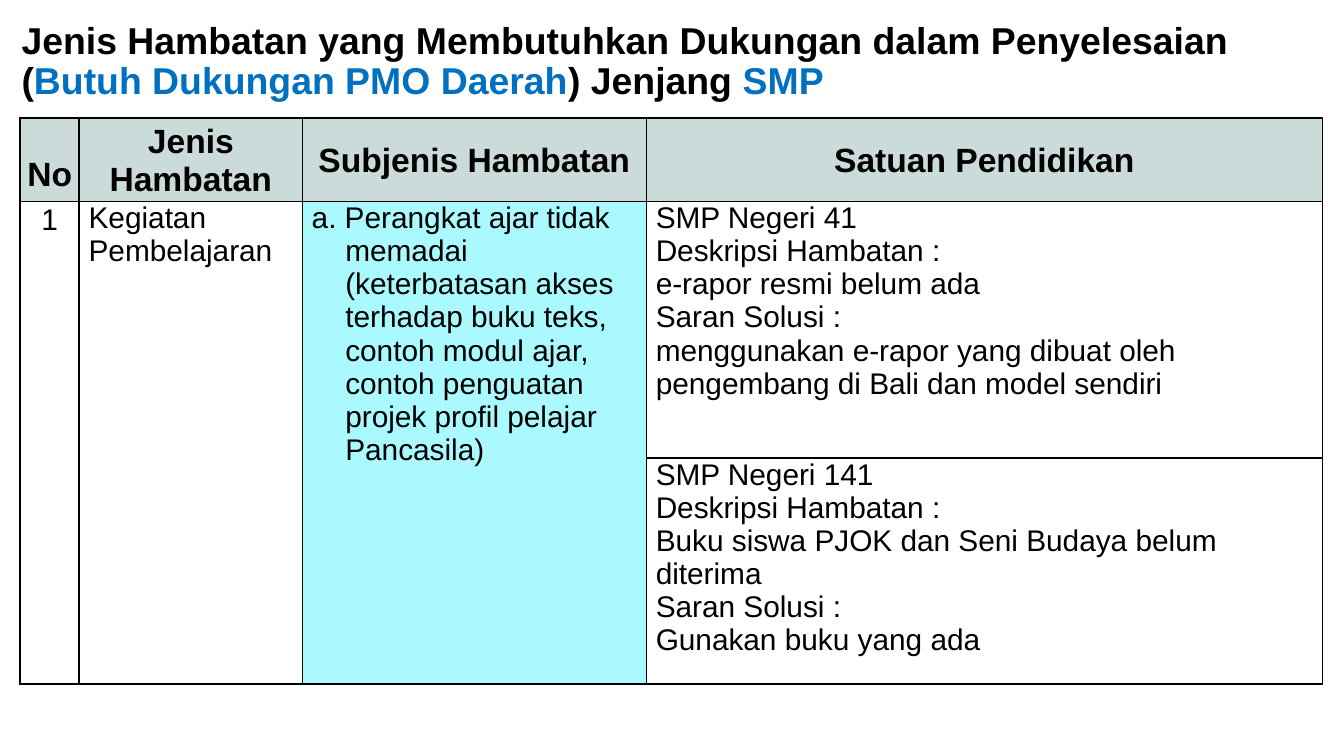
from lxml import etree
from pptx import Presentation
from pptx.dml.color import RGBColor
from pptx.enum.text import MSO_ANCHOR, MSO_AUTO_SIZE, PP_ALIGN
from pptx.oxml.ns import qn
from pptx.util import Inches, Pt

TOP, MIDDLE = MSO_ANCHOR.TOP, MSO_ANCHOR.MIDDLE
LEFT, CENTER = PP_ALIGN.LEFT, PP_ALIGN.CENTER
BLACK, BLUE, SAGE, CYAN, WHITE = "000000", "0070C0", "CADBD9", "A9F9FF", "FFFFFF"

TITLE = [
    ("Jenis Hambatan yang Membutuhkan Dukungan dalam Penyelesaian (", BLACK),
    ("Butuh Dukungan PMO Daerah", BLUE),
    (") Jenjang ", BLACK),
    ("SMP", BLUE),
]
HEADINGS = ["No", "Jenis Hambatan", "Subjenis Hambatan", "Satuan Pendidikan"]
OBSTACLE = [
    "1",
    "Kegiatan Pembelajaran",
    "a. Perangkat ajar tidak memadai (keterbatasan akses terhadap buku teks, "
    "contoh modul ajar, contoh penguatan projek profil pelajar Pancasila)",
]
SCHOOLS = [
    ("SMP Negeri 41", "e-rapor resmi belum ada",
     "menggunakan e-rapor yang dibuat oleh pengembang di Bali dan model sendiri"),
    ("SMP Negeri 141", "Buku siswa PJOK dan Seni Budaya belum diterima",
     "Gunakan buku yang ada"),
]
COLUMN_WIDTHS = [0.44, 1.66, 2.56, 5.03]
ROW_HEIGHTS = [0.62, 1.91, 1.68]


def color(value):
    return RGBColor.from_string(value)


def style_run(run, size, bold, text_color=BLACK):
    run.font.name = "Arial"
    run.font.size = Pt(size)
    run.font.bold = bold
    run.font.color.rgb = color(text_color)


def set_margins(target, left, top, right, bottom):
    target.margin_left, target.margin_top = Inches(left), Inches(top)
    target.margin_right, target.margin_bottom = Inches(right), Inches(bottom)


def add_borders(cell):
    properties = cell._tc.get_or_add_tcPr()
    for position, side in enumerate(("a:lnL", "a:lnR", "a:lnT", "a:lnB")):
        border = etree.Element(qn(side), w=str(Pt(1)))
        fill = etree.SubElement(border, qn("a:solidFill"))
        etree.SubElement(fill, qn("a:srgbClr"), val=BLACK)
        properties.insert(position, border)


def fill_cell(cell, text, size=16, bold=False, align=LEFT, anchor=TOP,
              margins=(0.07, 0, 0.07, 0)):
    cell.text_frame.text = text
    cell.vertical_anchor = anchor
    set_margins(cell, *margins)
    for paragraph in cell.text_frame.paragraphs:
        paragraph.alignment = align
        for run in paragraph.runs:
            style_run(run, size, bold)


prs = Presentation()
prs.slide_width = Inches(10)
prs.slide_height = prs.slide_width * 9 // 16
slide = prs.slides.add_slide(prs.slide_layouts[5])

title = slide.shapes.title
title.left, title.top = Inches(0.09), Inches(0.01)
title.width, title.height = Inches(9.25), Inches(0.91)
heading = title.text_frame
heading.word_wrap = True
heading.auto_size = MSO_AUTO_SIZE.NONE
heading.vertical_anchor = MIDDLE
set_margins(heading, 0.07, 0.04, 0.07, 0.04)
heading.paragraphs[0].alignment = LEFT
heading.paragraphs[0].line_spacing = 0.9
for text, text_color in TITLE:
    run = heading.paragraphs[0].add_run()
    run.text = text
    style_run(run, 20, True, text_color)

obstacles = slide.shapes.add_table(
    len(ROW_HEIGHTS), len(COLUMN_WIDTHS), Inches(0.15), Inches(0.88),
    Inches(sum(COLUMN_WIDTHS)), Inches(sum(ROW_HEIGHTS))).table
for column, width in zip(obstacles.columns, COLUMN_WIDTHS):
    column.width = Inches(width)
for row, height in zip(obstacles.rows, ROW_HEIGHTS):
    row.height = Inches(height)

for row in range(len(ROW_HEIGHTS)):
    for column in range(len(COLUMN_WIDTHS)):
        cell = obstacles.cell(row, column)
        cell.fill.solid()
        cell.fill.fore_color.rgb = color(
            SAGE if row == 0 else CYAN if column == 2 else WHITE)
        add_borders(cell)

for column, text in enumerate(HEADINGS):
    fill_cell(obstacles.cell(0, column), text, 18, True, CENTER, MIDDLE,
              (0.01, 0.01, 0.01, 0))
number_heading = obstacles.cell(0, 0)
number_heading.vertical_anchor = TOP
set_margins(number_heading, 0, 0.28, 0, 0)

for column, text in enumerate(OBSTACLE):
    cell = obstacles.cell(1, column)
    cell.merge(obstacles.cell(2, column))
    fill_cell(cell, text)

number = obstacles.cell(1, 0)
set_margins(number, 0, 0, 0, 0)
number.text_frame.paragraphs[0].alignment = CENTER
number.text_frame.paragraphs[0].line_spacing = 1.07

hanging = obstacles.cell(1, 2).text_frame.paragraphs[0]._p.get_or_add_pPr()
hanging.set("marL", str(Inches(0.25)))
hanging.set("indent", str(-Inches(0.25)))

for row, (school, description, solution) in enumerate(SCHOOLS, 1):
    lines = [school, "Deskripsi Hambatan :", description, "Saran Solusi :", solution]
    fill_cell(obstacles.cell(row, 3), "\n".join(lines))

prs.save("out.pptx")
